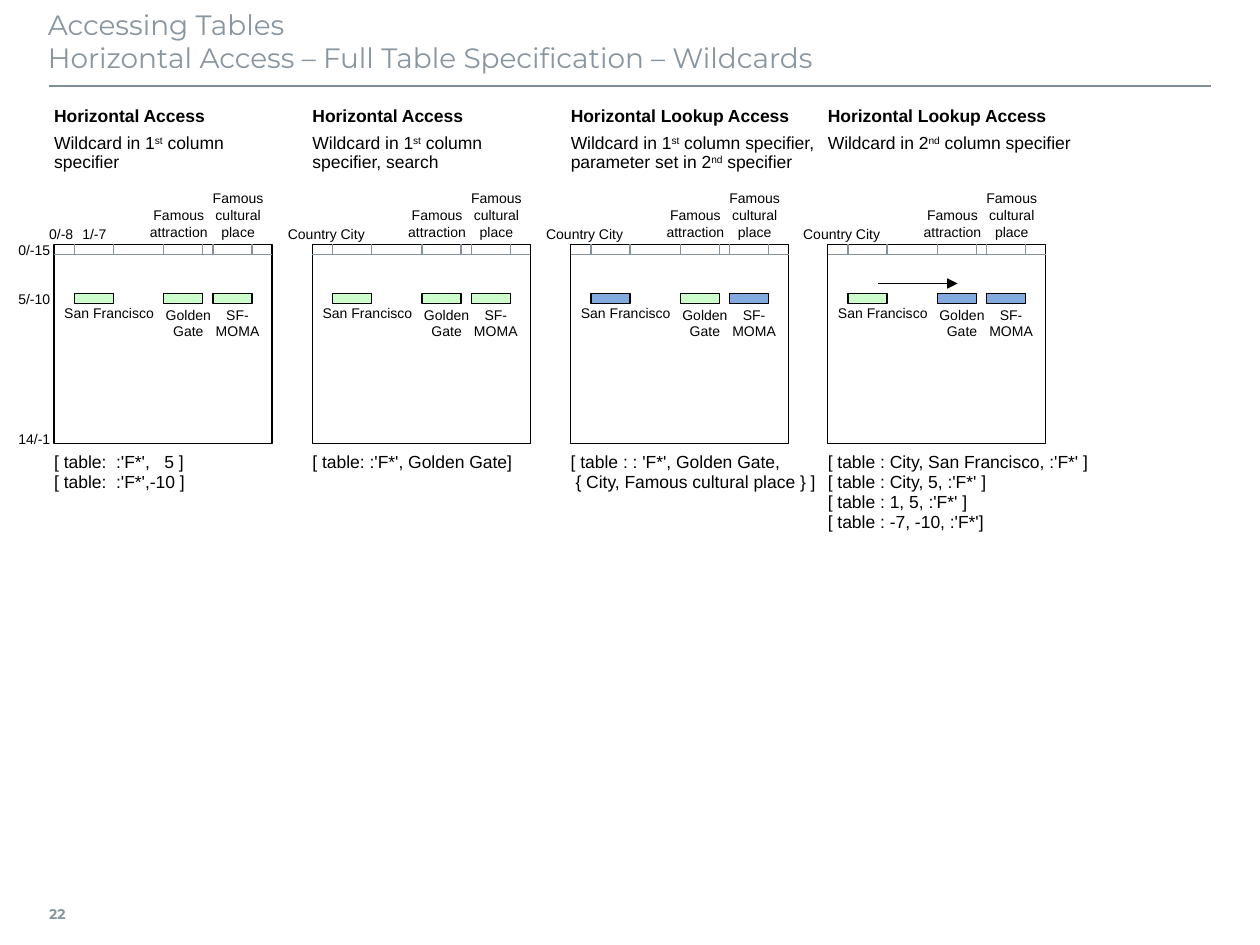
from pptx import Presentation
from pptx.dml.color import RGBColor as RGB
from pptx.enum.shapes import MSO_CONNECTOR as Conn, MSO_SHAPE as Shape
from pptx.enum.text import MSO_ANCHOR as Anchor, PP_ALIGN as Align
from pptx.oxml.ns import qn
from pptx.util import Inches, Pt
from lxml.etree import SubElement

theme = {
    "black": RGB.from_string("000000"),
    "title": RGB.from_string("8996A0"),
    "rule": RGB.from_string("808D97"),
    "grid": RGB.from_string("85939D"),
    "green": RGB.from_string("CCFFCC"),
    "blue": RGB.from_string("83AADE"),
    "head": Pt(16), "body": Pt(10), "small": Pt(8),
    "thin": Pt(0.75), "wide": Pt(1),
    "sans": "Arial", "brand": "Montserrat",
}

deck = Presentation()
deck.slide_width, deck.slide_height = Inches(10), Inches(7.5)
slide = deck.slides.add_slide(deck.slide_layouts[6])


def write(text, x, y, w, h, size="body", font="sans", color="black", bold=False,
          align=Align.LEFT, anchor=Anchor.MIDDLE, pad=(0, 0, 0, 0), lead=None,
          wrap=False):
    box = slide.shapes.add_shape(Shape.RECTANGLE, *map(Inches, (x, y, w, h)))
    box.shadow.inherit = False
    box.fill.background()
    box.line.fill.background()
    frame = box.text_frame
    frame.word_wrap = wrap
    frame.vertical_anchor = anchor
    (frame.margin_left, frame.margin_top,
     frame.margin_right, frame.margin_bottom) = map(Inches, pad)
    for row, line in enumerate(text.split("\n")):
        para = frame.add_paragraph() if row else frame.paragraphs[0]
        para.alignment = align
        para.line_spacing = lead
        for part, piece in enumerate(line.split("^")):
            run = para.add_run()
            run.text = piece
            run.font.size = theme[size]
            run.font.name = theme[font]
            run.font.color.rgb = theme[color]
            run.font.bold = bold
            if part % 2:
                run.font._element.set("baseline", "30000")


def draw(x1, y1, x2, y2, color="grid", width="thin", arrow=False):
    line = slide.shapes.add_connector(Conn.STRAIGHT, *map(Inches, (x1, y1, x2, y2)))
    line.line.color.rgb = theme[color]
    line.line.width = theme[width]
    if arrow:
        SubElement(line.line._get_or_add_ln(), qn("a:tailEnd"), type="triangle")
    SubElement(line._element.spPr, qn("a:effectLst"))


draw(0.39, 0.68, 9.61, 0.68, color="rule", width="wide")
write("22", 0.39, 7.06, 0.35, 0.39, size="small", font="brand", color="title",
      bold=True, pad=(0, 0.05, 0.08, 0.05))
write("Accessing Tables\nHorizontal Access – Full Table Specification – Wildcards",
      0.38, 0.01, 9.21, 0.63, size="head", font="brand", color="title",
      anchor=Anchor.TOP, pad=(0, 0.05, 0.1, 0.05), wrap=True)

label = {"size": "small", "pad": (0.04,) * 4}
mid = {**label, "align": Align.CENTER}
value = {"size": "small", "lead": 0.95}
top, wide, high = 1.94, 1.73, 1.58
cell, bar, row = 0.31, 0.08, 2.33
starts = (0.16, 0.87, 1.26)

panels = [
    (0.43, "Horizontal Access", "Wildcard in 1^st^ column\nspecifier",
     "0/-8", "1/-7", ("green", "green", "green"),
     "[ table:  :'F*',   5 ]\n[ table:  :'F*',-10 ]"),
    (2.48, "Horizontal Access", "Wildcard in 1^st^ column\nspecifier, search",
     "Country", "City", ("green", "green", "green"),
     "[ table: :'F*', Golden Gate]"),
    (4.53, "Horizontal Lookup Access",
     "Wildcard in 1^st^ column specifier,\nparameter set in 2^nd^ specifier",
     "Country", "City", ("blue", "green", "blue"),
     "[ table : : 'F*', Golden Gate,\n { City, Famous cultural place } ]"),
    (6.57, "Horizontal Lookup Access", "Wildcard in 2^nd^ column specifier",
     "Country", "City", ("green", "blue", "blue"),
     "[ table : City, San Francisco, :'F*' ]\n[ table : City, 5, :'F*' ]\n"
     "[ table : 1, 5, :'F*' ]\n[ table : -7, -10, :'F*']"),
]

for x, head, note, first, second, fills, code in panels:
    write(head, x, 0.84, 1.18, 0.16, bold=True)
    write(note, x, 1.07, 1.18, 0.39, anchor=Anchor.TOP, lead=0.9)
    write(code, x, 3.59, wide, 0.55, anchor=Anchor.TOP, lead=0.95)

    rects = [(x, top, wide, high, None)]
    rects += [(x + dx, row, cell, bar, fill) for dx, fill in zip(starts, fills)]
    for left, y, w, h, fill in rects:
        rect = slide.shapes.add_shape(Shape.RECTANGLE, *map(Inches, (left, y, w, h)))
        rect.shadow.inherit = False
        rect.line.color.rgb = theme["black"]
        rect.line.width = theme["thin"]
        if fill:
            rect.fill.solid()
            rect.fill.fore_color.rgb = theme[fill]
        else:
            rect.fill.background()

    draw(x, top + bar, x + wide, top + bar)
    for dx in starts:
        for tick in (x + dx, x + dx + cell):
            draw(tick, top, tick, top + bar)

    write(first, x - 0.08, 1.78, 0.16, 0.16, **(label if first == "0/-8" else mid))
    write(second, x + 0.24, 1.78, 0.16, 0.16, **mid)
    write("Famous\nattraction", x + 0.87, 1.62, 0.24, 0.31, **mid)
    write("Famous\ncultural\nplace", x + 1.42, 1.55, 0.08, 0.31, **mid)
    write("San Francisco", x + 0.08, 2.41, 1.02, 0.16, **value)
    for text, dx in (("Golden\nGate", 0.87), ("SF-\nMOMA", 1.26)):
        write(text, x + dx, 2.49, 0.39, 0.16, align=Align.CENTER, **value)

for text, y in (("0/-15", top), ("5/-10", row), ("14/-1", 3.44)):
    write(text, 0.28, y, 0.16, bar, align=Align.RIGHT, **label)
draw(6.97, 2.25, 7.6, 2.25, color="black", arrow=True)

deck.save("out.pptx")
